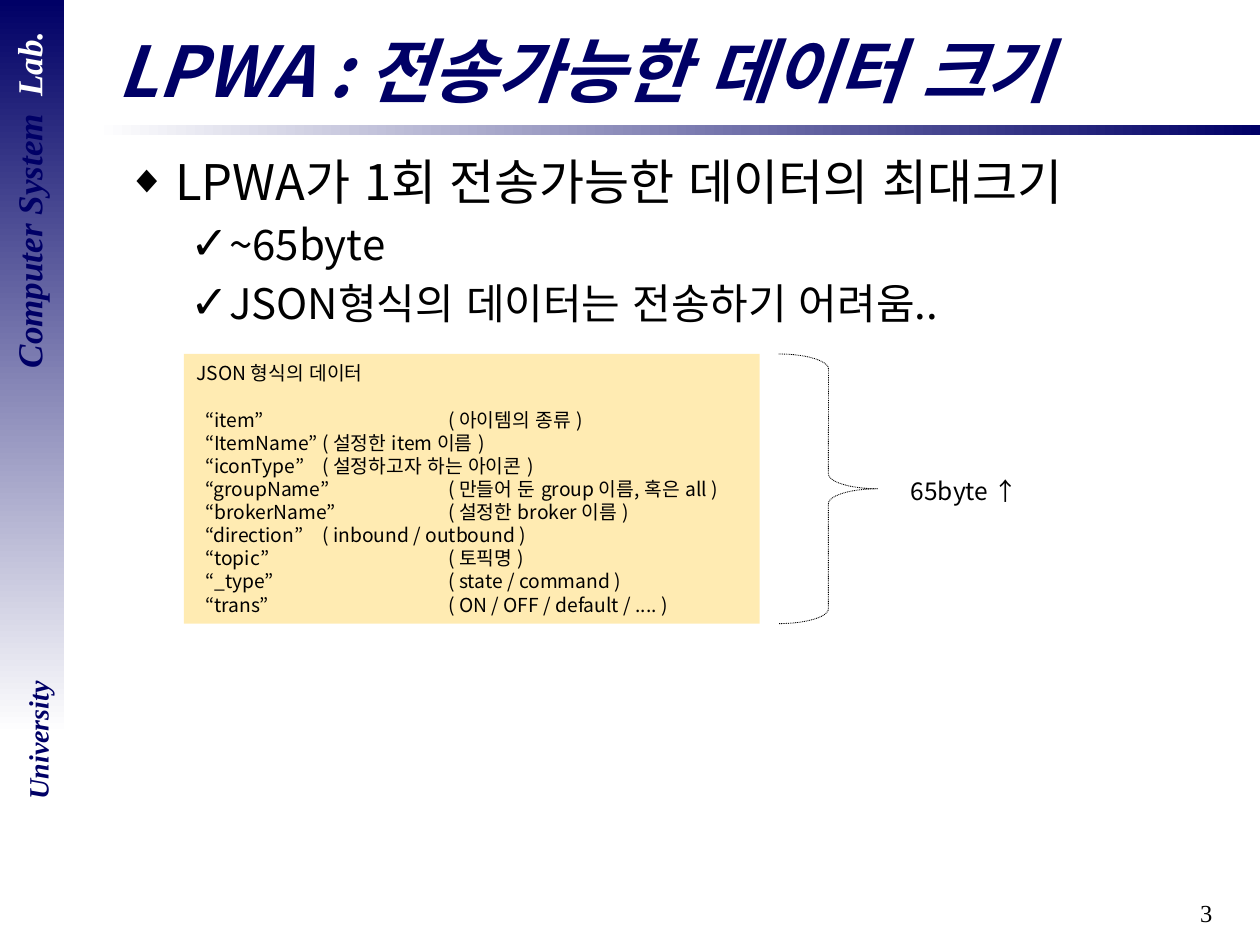
import pptx
import pptx.util
import pptx.dml.color
import pptx.enum.dml
import pptx.enum.shapes
import pptx.enum.text
from lxml import etree
from pptx.oxml.ns import qn

Inches, Pt = pptx.util.Inches, pptx.util.Pt
Align = pptx.enum.text.PP_ALIGN
Anchor = pptx.enum.text.MSO_ANCHOR
Shape = pptx.enum.shapes.MSO_SHAPE

TITLE = "LPWA : 전송가능한 데이터 크기"
# level, text
POINTS = [
    (0, "LPWA가 1회 전송가능한 데이터의 최대크기"),
    (1, "~65byte"),
    (1, "JSON형식의 데이터는 전송하기 어려움.."),
]
HEAD = "JSON 형식의 데이터"
# field, tab stop in inches, meaning
FIELDS = [
    ("item", 2, "아이템의 종류"),
    ("ItemName", 1, "설정한 item 이름"),
    ("iconType", 1, "설정하고자 하는 아이콘"),
    ("groupName", 2, "만들어 둔 group 이름, 혹은 all"),
    ("brokerName", 2, "설정한 broker 이름"),
    ("direction", 1, "inbound / outbound"),
    ("topic", 2, "토픽명"),
    ("_type", 2, "state / command"),
    ("trans", 2, "ON / OFF / default / ...."),
]
SIZE_NOTE = "65byte ↑"
PAGE = "3"


class Theme:
    """Colours, fonts and type sizes."""
    navy, white, black, amber = "000066", "FFFFFF", "000000", "FFC000"
    sans, serif = "Noto Sans CJK KR", "Times New Roman"
    title, note, code, code_line = 40, 14, 11, 13.2
    lab, school = 20, 16
    code_left = 0.07
    # size, left indent, hanging indent, bullet, bullet percent
    levels = [(28, 0.38, 0.38, "◆", 80), (24, 0.81, 0.31, "✓", 110)]


def rgb(code):
    """Turn a hex code into a colour."""
    return pptx.dml.color.RGBColor.from_string(code)


def style(run, size, color=Theme.black, face=Theme.sans, strong=False):
    """Set the look of one run; strong means bold italic."""
    font = run.font
    font.size, font.name = Pt(size), face
    font.bold = font.italic = strong
    font.color.rgb = rgb(color)
    props = run._r.get_or_add_rPr()
    props.set("lang", "ko-KR")
    props.set("kern", "0")
    etree.SubElement(props, qn("a:ea"), typeface=face)


def indent(para, left, hang=0):
    """Set the left and hanging indent in inches."""
    props = para._p.get_or_add_pPr()
    props.set("marL", str(Inches(left)))
    props.set("indent", str(-Inches(hang)))
    return props


def place(shape, box):
    """Move and size a shape in inches."""
    shape.left, shape.top, shape.width, shape.height = map(Inches, box)


def label(slide, box, parts, size, face, align=Align.LEFT, turn=0, strong=False, wrap=True):
    """Add a one-line text box of (text, colour) parts."""
    shape = slide.shapes.add_textbox(*map(Inches, box))
    shape.rotation = turn
    shape.text_frame.word_wrap = wrap
    para = shape.text_frame.paragraphs[0]
    para.alignment = align
    for text, color in parts:
        run = para.add_run()
        run.text = text
        style(run, size, color, face, strong)


def block(slide, kind, box):
    """Add a preset shape without shadow or outline."""
    shape = slide.shapes.add_shape(kind, *map(Inches, box))
    shape.shadow.inherit = False
    shape.line.fill.background()
    return shape


def fade(slide, box, angle, colors):
    """Add a bar with a two-colour gradient."""
    fill = block(slide, Shape.RECTANGLE, box).fill
    fill.gradient()
    fill.gradient_angle = angle
    for stop, color in zip(fill.gradient_stops, colors):
        stop.color.rgb = rgb(color)


def frame(slide):
    """Draw the bars, side labels and page number."""
    fade(slide, (0.75, 0.99, 9.25, 0.08), 0, (Theme.white, Theme.navy))
    fade(slide, (0, 0, 0.51, 5.83), 270, (Theme.navy, Theme.white))
    label(slide, (7.64, 7.08, 2.08, 0.42), [(PAGE, Theme.black)],
          Theme.note, Theme.serif, Align.RIGHT)
    lab = [("Computer System  ", Theme.navy), ("Lab.", Theme.white)]
    school = [("University", Theme.navy)]
    for box, parts, size in [((-1.31, 1.37, 3.07, 0.43), lab, Theme.lab),
                             ((-0.41, 5.69, 1.42, 0.37), school, Theme.school)]:
        label(slide, box, parts, size, Theme.serif, Align.CENTER, 270, True)


def heading(slide):
    """Fill the title placeholder."""
    shape = slide.shapes.title
    place(shape, (0.83, 0.17, 8.9, 0.77))
    text = shape.text_frame
    text.text = TITLE
    text.auto_size = pptx.enum.text.MSO_AUTO_SIZE.NONE
    text.vertical_anchor = Anchor.MIDDLE
    text.paragraphs[0].alignment = Align.LEFT
    style(text.paragraphs[0].runs[0], Theme.title, Theme.navy, strong=True)


def bullets(slide):
    """Fill the body placeholder."""
    shape = slide.placeholders[1]
    place(shape, (0.91, 1.15, 8.74, 5.77))
    text = shape.text_frame
    text.text = "\n".join(words for _, words in POINTS)
    text.auto_size = pptx.enum.text.MSO_AUTO_SIZE.NONE
    for para, (level, _) in zip(text.paragraphs, POINTS):
        size, left, hang, mark, scale = Theme.levels[level]
        para.level = level
        para.space_before = Pt(size * 0.2)
        props = indent(para, left, hang)
        etree.SubElement(props, qn("a:buSzPct"), val=str(scale * 1000))
        etree.SubElement(props, qn("a:buChar"), char=mark)
        style(para.runs[0], size)


def listing(slide):
    """Draw the panel of JSON fields."""
    panel = block(slide, Shape.RECTANGLE, (1.46, 2.81, 4.57, 2.14))
    panel.fill.solid()
    panel.fill.fore_color.rgb = rgb(Theme.amber)
    tint = panel.fill._xPr.find(".//" + qn("a:srgbClr"))
    etree.SubElement(tint, qn("a:alpha"), val="30000")
    text = panel.text_frame
    text.vertical_anchor = Anchor.MIDDLE
    rows = [f"“{key}”\t( {note} )" for key, _, note in FIELDS]
    text.text = "\n".join([HEAD] + rows)
    for para in text.paragraphs:
        para.alignment = Align.LEFT
        style(para.runs[0], Theme.code)
    text.paragraphs[0].space_after = Pt(Theme.code_line)
    for para, (_, stop, _) in zip(text.paragraphs[1:], FIELDS):
        props = indent(para, Theme.code_left)
        props.set("defTabSz", str(Inches(stop - Theme.code_left)))


def brace(slide):
    """Draw the dotted brace and its size note."""
    curve = block(slide, Shape.RIGHT_BRACE, (6.18, 2.81, 0.79, 2.14))
    curve.adjustments[0], curve.adjustments[1] = 0.15, 0.5
    curve.fill.background()
    curve.line.color.rgb = rgb(Theme.black)
    curve.line.width = Pt(0.5)
    curve.line.dash_style = pptx.enum.dml.MSO_LINE.ROUND_DOT
    label(slide, (7.13, 3.73, 1.1, 0.34), [(SIZE_NOTE, Theme.black)],
          Theme.note, Theme.sans, wrap=False)


def build():
    """Build and save the slide."""
    deck = pptx.Presentation()
    deck.slide_width, deck.slide_height = Inches(10), Inches(7.5)
    slide = deck.slides.add_slide(deck.slide_layouts[1])
    for draw in (frame, heading, bullets, listing, brace):
        draw(slide)
    deck.save("out.pptx")


build()
